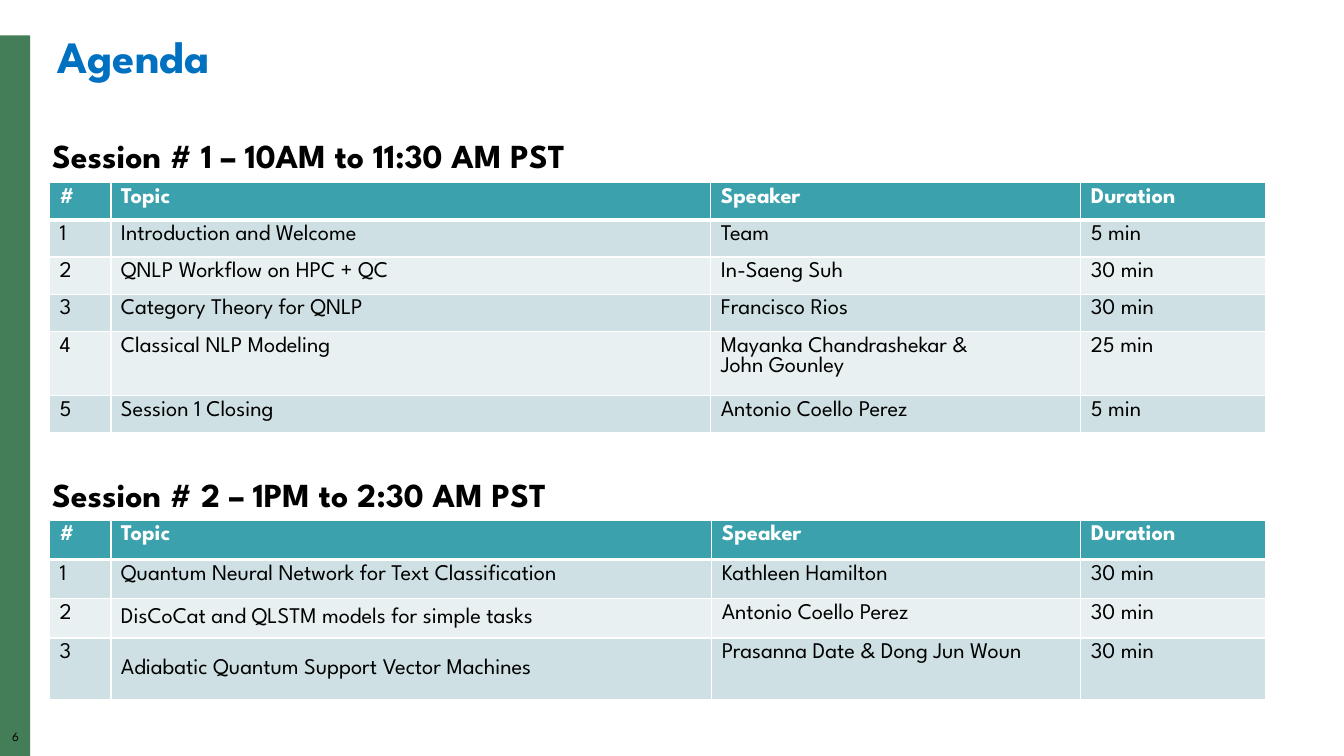
from lxml import etree
from pptx import Presentation
from pptx.dml.color import RGBColor
from pptx.enum.shapes import MSO_SHAPE
from pptx.enum.text import MSO_ANCHOR, PP_ALIGN
from pptx.oxml.ns import qn
from pptx.util import Pt

RECT = MSO_SHAPE.RECTANGLE
MIDDLE, TOP = MSO_ANCHOR.MIDDLE, MSO_ANCHOR.TOP
LEFT, CENTER = PP_ALIGN.LEFT, PP_ALIGN.CENTER

PX = 9144
FONT = "League Spartan"
COLORS = {
    "bar": "447E59",
    "title": "0070C0",
    "text": "000000",
    "header": "3BA2AD",
    "odd": "CEE0E3",
    "even": "E8F0F1",
    "white": "FFFFFF",
}
HEADER = ("#", "Topic", "Speaker", "Duration")
SESSIONS = [
    {
        "box": (42, 133, 1250, 298),
        "heading": "Session # 1 – 10AM to 11:30 AM PST",
        "cols": (61, 595, 367, 183),
        "rows": (37, 37, 37, 37, 58, 37),
        "table_top": 48,
        "middle_topics": (),
        "talks": [
            ("Introduction and Welcome", "Team", "5 min"),
            ("QNLP Workflow on HPC + QC", "In-Saeng Suh", "30 min"),
            ("Category Theory for QNLP", "Francisco Rios", "30 min"),
            ("Classical NLP Modeling", "Mayanka Chandrashekar &\nJohn Gounley", "25 min"),
            ("Session 1 Closing", "Antonio Coello Perez", "5 min"),
        ],
    },
    {
        "box": (42, 470, 1250, 226),
        "heading": "Session # 2 – 1PM to 2:30 AM PST",
        "cols": (61, 596, 366, 183),
        "rows": (39, 39, 39, 61),
        "table_top": 46,
        "middle_topics": (2, 3),
        "talks": [
            ("Quantum Neural Network for Text Classification", "Kathleen Hamilton", "30 min"),
            ("DisCoCat and QLSTM models for simple tasks", "Antonio Coello Perez", "30 min"),
            ("Adiabatic Quantum Support Vector Machines", "Prasanna Date & Dong Jun Woun", "30 min"),
        ],
    },
]


def px(*values):
    return [v * PX for v in values]


def rgb(name):
    return RGBColor.from_string(COLORS[name])


def add_run(p, text, size, color, bold):
    r = p.add_run()
    r.text = text
    r.font.name = FONT
    r.font.size = Pt(size)
    r.font.bold = bold
    r.font.color.rgb = rgb(color)


def add_label(s, box, text, size, color="text", bold=True, align=LEFT, inset=True):
    tf = s.shapes.add_textbox(*px(*box)).text_frame
    tf.word_wrap = True
    tf.vertical_anchor = TOP
    if not inset:
        tf.margin_left = tf.margin_right = tf.margin_top = tf.margin_bottom = 0
    p = tf.paragraphs[0]
    p.alignment = align
    p.line_spacing = 0.9
    add_run(p, text, size, color, bold)


def add_borders(cell, bottom, top):
    tc_pr = cell._tc.get_or_add_tcPr()
    for tag, width in (("a:lnL", 1), ("a:lnR", 1), ("a:lnT", top), ("a:lnB", bottom)):
        line = etree.SubElement(tc_pr, qn(tag), w=str(Pt(width)))
        fill = etree.SubElement(line, qn("a:solidFill"))
        etree.SubElement(fill, qn("a:srgbClr"), val=COLORS["white"])


def add_sidebar(s, box, number):
    x, y, w, h = box
    bar = s.shapes.add_shape(RECT, *px(*box))
    bar.shadow.inherit = False
    bar.fill.solid()
    bar.fill.fore_color.rgb = rgb("bar")
    bar.line.fill.background()
    add_label(s, (x, y + h - 25, w + 1, 17), number, 9,
              bold=False, align=CENTER, inset=False)


def fill_cell(cell, text, row, anchor):
    header = row == 0
    add_borders(cell, bottom=3 if header else 1, top=3 if row == 1 else 1)
    cell.fill.solid()
    cell.fill.fore_color.rgb = rgb("header" if header else "odd" if row % 2 else "even")
    cell.vertical_anchor = anchor
    tf = cell.text_frame
    for i, line in enumerate(text.split("\n")):
        p = tf.add_paragraph() if i else tf.paragraphs[0]
        add_run(p, line, 16, "white" if header else "text", header)


def add_session(s, session):
    x, y, w, h = session["box"]
    add_label(s, (x, y, w, 46), session["heading"], 24)
    cols, rows = session["cols"], session["rows"]
    table = s.shapes.add_table(
        len(rows), len(cols),
        *px(x + 7, y + session["table_top"], sum(cols), sum(rows))).table
    for column, width in zip(table.columns, cols):
        column.width = width * PX
    for row, height in zip(table.rows, rows):
        row.height = height * PX
    numbered = [(str(n), *talk) for n, talk in enumerate(session["talks"], 1)]
    for i, values in enumerate([HEADER, *numbered]):
        for j, text in enumerate(values):
            centred = j == 1 and i in session["middle_topics"]
            fill_cell(table.cell(i, j), text, i, MIDDLE if centred else TOP)


def main():
    prs = Presentation()
    prs.slide_width, prs.slide_height = px(1333, 750)
    s = prs.slides.add_slide(prs.slide_layouts[6])
    add_sidebar(s, (0, 35, 30, 715), "6")
    add_label(s, (47, 30, 1250, 59), "Agenda", 32, "title")
    for session in SESSIONS:
        add_session(s, session)
    prs.save("out.pptx")


if __name__ == "__main__":
    main()
